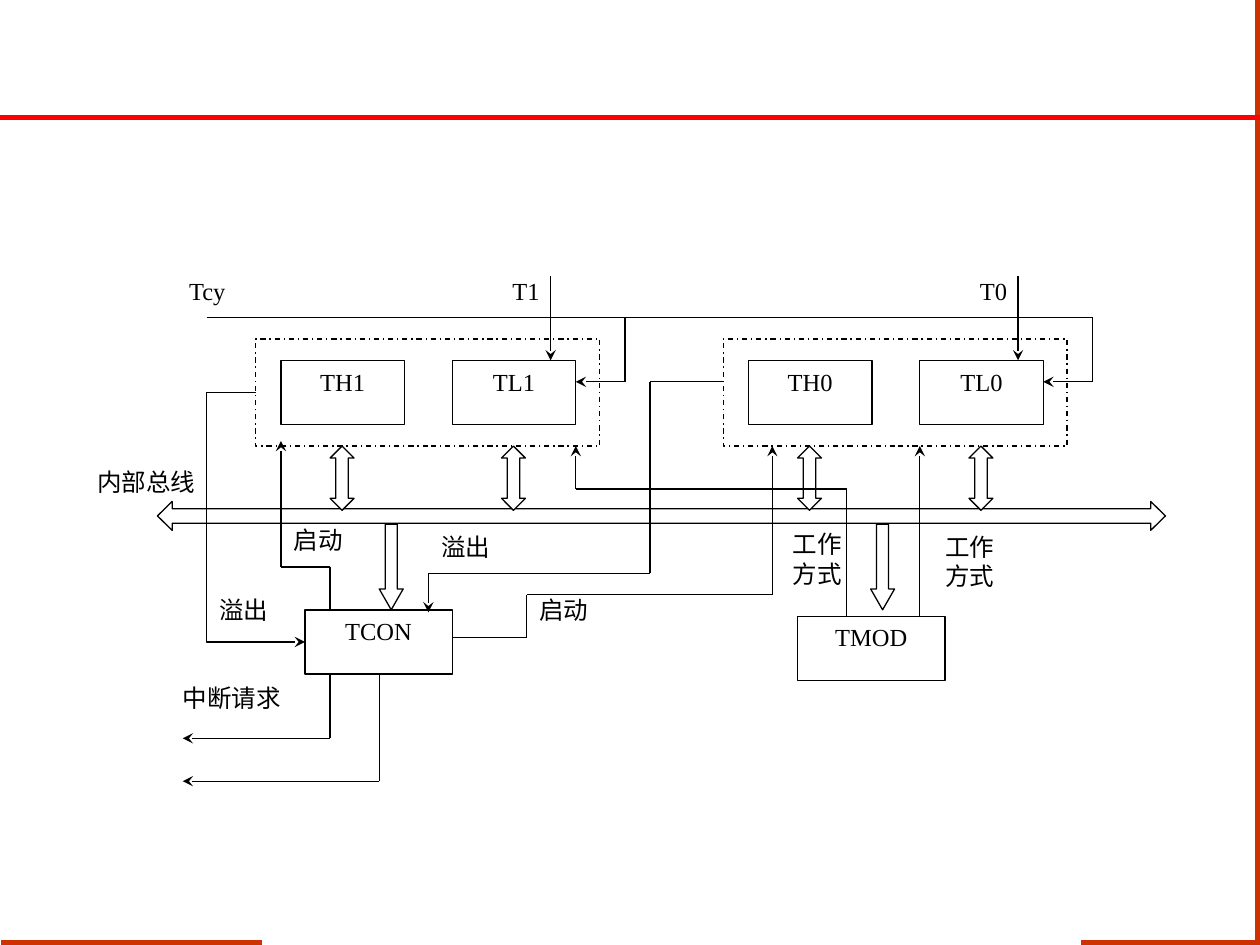
from itertools import pairwise
from lxml import etree
from pptx import Presentation
from pptx.dml.color import RGBColor
from pptx.enum.dml import MSO_LINE
from pptx.enum.shapes import MSO_CONNECTOR as CONN, MSO_SHAPE as SHAPE
from pptx.enum.text import MSO_ANCHOR, PP_ALIGN
from pptx.oxml.ns import qn
from pptx.util import Inches, Pt

COLORS = {"ink": "000000", "paper": "FFFFFF", "rule": "FF0000", "frame": "CC3300"}
FONT = "Times New Roman"


def rgb(name):
    return RGBColor.from_string(COLORS[name])


def inches(*values):
    return [Inches(v) for v in values]


def write(tf, text):
    tf.word_wrap = True
    tf.vertical_anchor = MSO_ANCHOR.TOP
    p = tf.paragraphs[0]
    p.alignment = PP_ALIGN.CENTER
    r = p.add_run()
    r.text = text
    r.font.size = Pt(14)
    r.font.name = FONT
    r.font.color.rgb = rgb("ink")


def add_label(g, text, x, y, w=0.59, h=0.34):
    tf = g.shapes.add_textbox(*inches(x, y, w, h)).text_frame
    tf.margin_left = tf.margin_right = tf.margin_top = tf.margin_bottom = 0
    write(tf, text)


def add_block(g, kind, x, y, w, h, adjustments=()):
    sp = g.shapes.add_shape(kind, *inches(x, y, w, h))
    sp.shadow.inherit = False
    sp.fill.solid()
    sp.fill.fore_color.rgb = rgb("paper")
    sp.line.color.rgb = rgb("ink")
    sp.line.width = Pt(0.75)
    for i, value in enumerate(adjustments):
        sp.adjustments[i] = value
    return sp


def add_register(g, text, x, y, w):
    sp = add_block(g, SHAPE.RECTANGLE, x, y, w, 0.51)
    write(sp.text_frame, text)
    return sp


def add_line(parent, start, end, color="ink", width=0.75, arrow=False, kind=CONN.STRAIGHT):
    cxn = parent.shapes.add_connector(kind, *inches(*start, *end))
    cxn.line.color.rgb = rgb(color)
    cxn.line.width = Pt(width)
    if arrow:
        etree.SubElement(cxn.line._get_or_add_ln(), qn("a:tailEnd"), type="stealth")
    etree.SubElement(cxn._element.spPr, qn("a:effectLst"))
    return cxn


def add_wire(g, x, y, points, arrow=True):
    corners = [(x + dx, y + dy) for dx, dy in points]
    for start, end in pairwise(corners):
        add_line(g, start, end, arrow=arrow and end == corners[-1])


def draw_frame(s, w, h):
    add_line(s, (2.08, h - 0.02), (0.01, h - 0.02), "frame", 3)
    add_line(s, (w - 0.02, h), (w - 0.02, 0), "frame", 3)
    add_line(s, (w - 0.04, h - 0.02), (8.58, h - 0.02), "frame", 3)
    add_line(s, (w, 0.93), (0, 0.93), "rule", 3)


def draw_clock(g, x, y, w):
    add_label(g, "Tcy", x - 0.19, y - 0.33, 0.39)
    add_wire(g, x, y, [(0, 0), (w, 0)], arrow=False)


def draw_bus(g, x, y, w):
    add_label(g, "内部总线", x - 0.58, y - 0.27, 0.98)
    add_block(g, SHAPE.LEFT_RIGHT_ARROW, x, y, w, 0.23, (0.5, 0.51))


def draw_timer(g, number, x, y):
    for name, dx in (("TH", 0.2), ("TL", 1.56)):
        add_register(g, f"{name}{number}", x + dx, y + 0.17, 0.98)
        add_block(g, SHAPE.UP_DOWN_ARROW, x + dx + 0.39, y + 0.85, 0.19, 0.51, (0.5, 0.52))
    add_wire(g, x, y, [(2.34, -0.5), (2.34, 0.17)])
    add_wire(g, x, y, [(2.93, -0.17), (2.93, 0.34), (2.54, 0.34)])
    add_label(g, f"T{number}", x + 1.95, y - 0.5, 0.39)
    outline = add_block(g, SHAPE.RECTANGLE, x, y, 2.73, 0.85)
    outline.fill.background()
    outline.line.dash_style = MSO_LINE.DASH_DOT
    return outline


def draw_tcon(g, x, y, timer):
    tcon = add_register(g, "TCON", x, y, 1.17)
    add_block(g, SHAPE.DOWN_ARROW, x + 0.59, y - 0.68, 0.19, 0.68, (0.5, 0.87))
    overflow = add_line(g, (x - 0.39, y - 1.72), (x, y + 0.26), arrow=True, kind=CONN.ELBOW)
    overflow.begin_connect(timer, 1)
    overflow.end_connect(tcon, 1)
    guides = overflow._element.spPr.find(qn("a:prstGeom")).get_or_add_avLst()
    etree.SubElement(guides, qn("a:gd"), name="adj1", fmla="val -100000")
    for points in (
        [(0.2, 0), (0.2, -0.34), (-0.19, -0.34), (-0.19, -1.34)],
        [(3.32, -1.81), (2.74, -1.81), (2.74, -0.29), (0.98, -0.29), (0.98, 0.02)],
        [(1.17, 0.22), (1.76, 0.22), (1.76, -0.12), (3.71, -0.12), (3.71, -1.3)],
        [(0.2, 0.51), (0.2, 1.02), (-0.97, 1.02)],
        [(0.59, 0.51), (0.59, 1.36), (-0.97, 1.36)],
    ):
        add_wire(g, x, y, points)
    for text, dx, dy in (
        ("启动", -0.19, -0.67),
        ("启动", 1.76, -0.12),
        ("溢出", -0.78, -0.12),
        ("溢出", 0.98, -0.62),
    ):
        add_label(g, text, x + dx, y + dy)
    add_label(g, "中断请求", x - 0.97, y + 0.58, 0.78)


def draw_tmod(g, x, y):
    add_register(g, "TMOD", x, y, 1.17)
    add_block(g, SHAPE.DOWN_ARROW, x + 0.58, y - 0.73, 0.19, 0.68, (0.5, 0.87))
    add_wire(g, x, y, [(0.39, 0), (0.39, -1.01), (-1.76, -1.01), (-1.76, -1.35)])
    add_wire(g, x, y, [(0.97, 0), (0.97, -1.35)])
    for dx, dy in ((-0.04, -0.69), (1.17, -0.67)):
        add_label(g, "工作方式", x + dx, y + dy, 0.39, 0.68)


def main():
    prs = Presentation()
    prs.slide_width, prs.slide_height = inches(10, 7.5)
    s = prs.slides.add_slide(prs.slide_layouts[6])
    draw_frame(s, 10, 7.5)
    g = s.shapes.add_group_shape()
    draw_clock(g, 1.64, 2.52, 7.03)
    draw_bus(g, 1.25, 3.98, 8)
    timer1 = draw_timer(g, 1, 2.03, 2.69)
    draw_timer(g, 0, 5.74, 2.69)
    draw_tcon(g, 2.42, 4.84, timer1)
    draw_tmod(g, 6.33, 4.89)
    prs.save("out.pptx")


if __name__ == "__main__":
    main()
